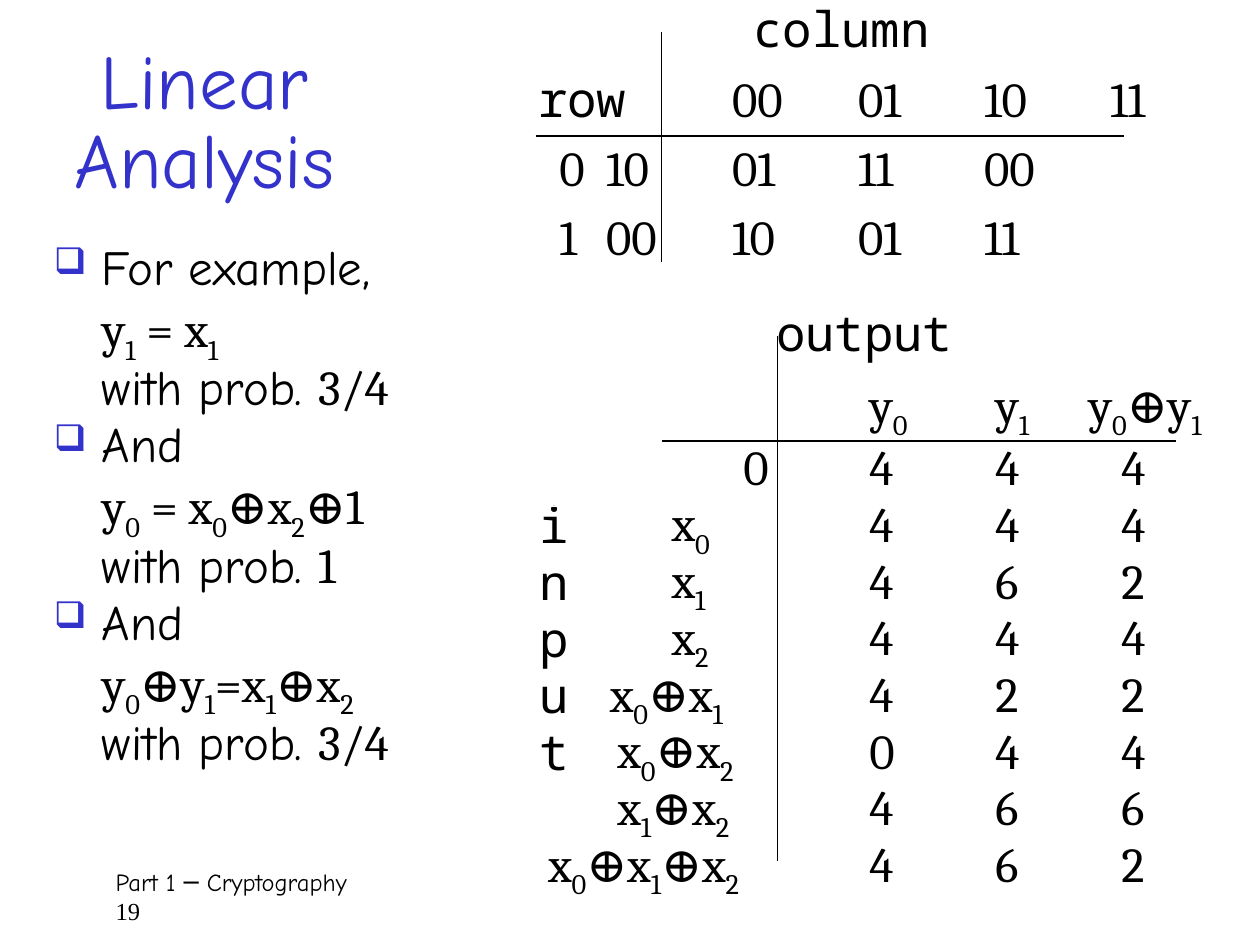
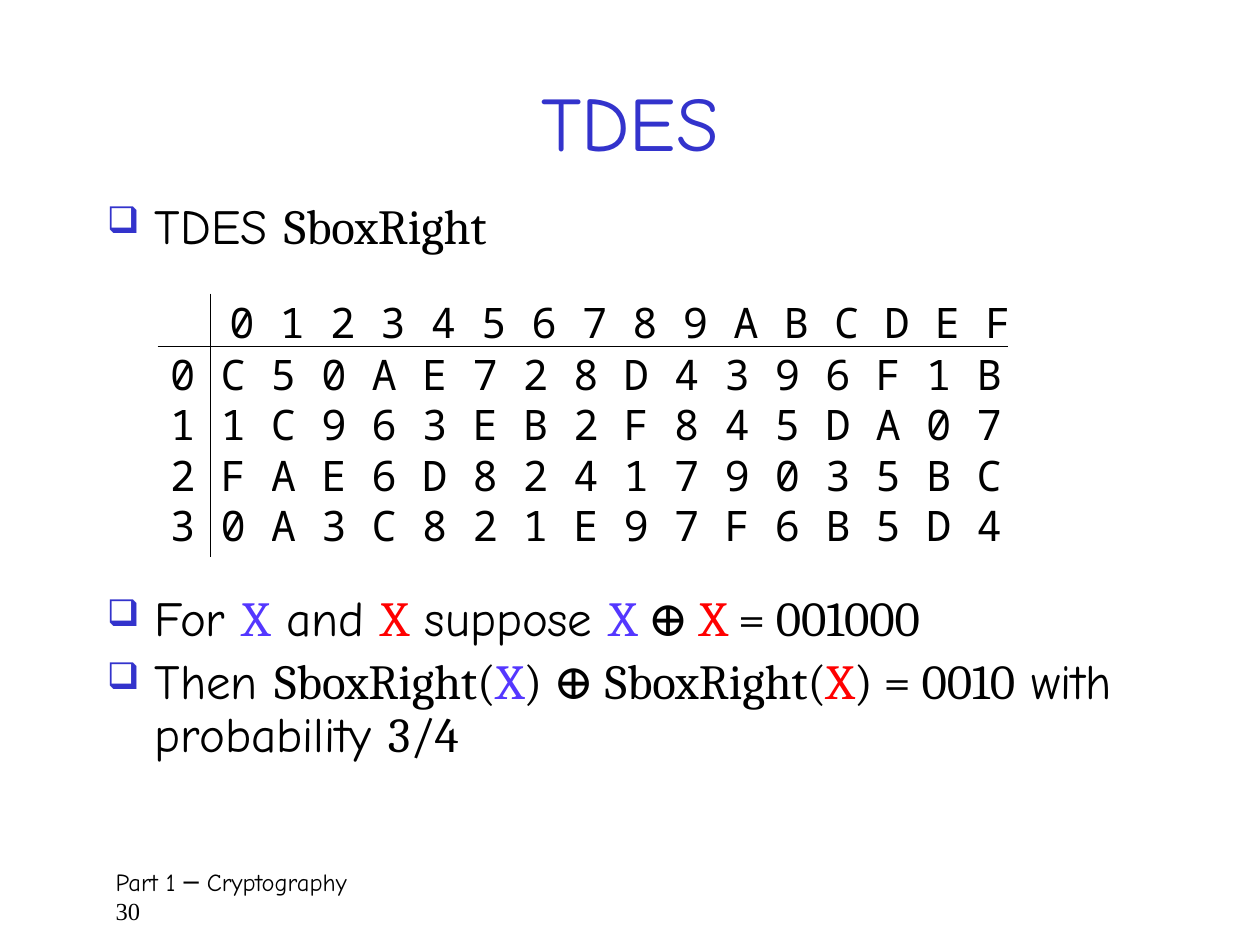
from lxml import etree
from pptx import Presentation
from pptx.dml.color import RGBColor
from pptx.enum.shapes import MSO_CONNECTOR
from pptx.enum.text import MSO_ANCHOR, PP_ALIGN
from pptx.oxml.ns import qn
from pptx.util import Inches, Pt

STRAIGHT = MSO_CONNECTOR.STRAIGHT
TOP, MIDDLE = MSO_ANCHOR.TOP, MSO_ANCHOR.MIDDLE
CENTER, LEFT = PP_ALIGN.CENTER, PP_ALIGN.LEFT

BLACK = RGBColor(0x00, 0x00, 0x00)
TITLE_BLUE = RGBColor(0x33, 0x33, 0xCC)
INPUT_BLUE = RGBColor(0x54, 0x37, 0xFF)
INPUT_RED = RGBColor(0xFF, 0x00, 0x00)

PROSE = "Comic Neue"
MATH = "Cambria"
MONO = "Noto Sans Mono"
NUMBER = "Times New Roman"

TITLE_ONLY = 5
BULLET_INDENT = 0.38


# Text
def add_runs(paragraph, text, font=MATH, size=28, color=BLACK):
    """Add text, setting the character after each underscore as a subscript."""
    first, *marked = text.split("_")
    pieces = [(first, False)]
    for part in marked:
        pieces += [(part[0], True), (part[1:], False)]
    for piece, is_subscript in pieces:
        if not piece:
            continue
        run = paragraph.add_run()
        run.text = piece
        run.font.name = font
        run.font.size = Pt(size)
        run.font.color.rgb = color
        if is_subscript:
            run.font._element.set("baseline", "-25000")


def add_text_box(slide, left, top, width, height):
    box = slide.shapes.add_textbox(Inches(left), Inches(top), Inches(width), Inches(height))
    box.text_frame.word_wrap = True
    return box.text_frame


def set_bullet(paragraph, has_bullet):
    properties = paragraph._p.get_or_add_pPr()
    properties.set("marL", str(Inches(BULLET_INDENT)))
    properties.set("indent", str(-Inches(BULLET_INDENT) if has_bullet else 0))
    if not has_bullet:
        etree.SubElement(properties, qn("a:buNone"))
        return
    color = etree.SubElement(properties, qn("a:buClr"))
    etree.SubElement(color, qn("a:srgbClr"), val=str(TITLE_BLUE))
    etree.SubElement(properties, qn("a:buSzPct"), val="75000")
    etree.SubElement(properties, qn("a:buChar"), char="❑")


def add_points(slide, place, points, line_spacing=1.0):
    """Each point is (has bullet, segments); a segment is (text, font, optional color)."""
    text_frame = add_text_box(slide, *place)
    for index, (has_bullet, segments) in enumerate(points):
        paragraph = text_frame.add_paragraph() if index else text_frame.paragraphs[0]
        paragraph.line_spacing = line_spacing
        paragraph.space_before = Pt(5.6)
        set_bullet(paragraph, has_bullet)
        for text, font, *color in segments:
            add_runs(paragraph, text, font, color=color[0] if color else BLACK)


# Shared slide parts
def add_slide(presentation, title, title_place, page, title_spacing=1.0):
    slide = presentation.slides.add_slide(presentation.slide_layouts[TITLE_ONLY])
    shape = slide.shapes.title
    shape.left, shape.top, shape.width, shape.height = map(Inches, title_place)
    shape.text_frame.vertical_anchor = MIDDLE
    paragraph = shape.text_frame.paragraphs[0]
    paragraph.alignment = CENTER
    paragraph.line_spacing = title_spacing
    add_runs(paragraph, title, PROSE, 44, TITLE_BLUE)

    footer = add_text_box(slide, 0.82, 6.83, 8.5, 0.5)
    add_runs(footer.paragraphs[0], "Part 1 ─ Cryptography", PROSE, 14)
    add_runs(footer.add_paragraph(), page, NUMBER, 14)
    return slide


def add_rule(slide, x1, y1, x2, y2):
    line = slide.shapes.add_connector(STRAIGHT, Inches(x1), Inches(y1), Inches(x2), Inches(y2))
    line.line.color.rgb = BLACK
    line.line.width = Pt(0.75)
    etree.SubElement(line._element.spPr, qn("a:effectLst"))


# Tables
def add_grid(slide, left, top, widths, heights):
    """Add a plain table without fills or margins."""
    frame = slide.shapes.add_table(len(heights), len(widths), Inches(left), Inches(top),
                                   Inches(sum(widths)), Inches(sum(heights)))
    table = frame.table
    table.first_row = table.horz_banding = False
    for column, width in zip(table.columns, widths):
        column.width = Inches(width)
    for row, height in zip(table.rows, heights):
        row.height = Inches(height)
    for cell in table.iter_cells():
        cell.fill.background()
        cell.vertical_anchor = TOP
        cell.margin_left = cell.margin_right = cell.margin_top = cell.margin_bottom = 0
    return table


def fill_cell(cell, text, font=MATH, size=28, indent=0, drop=0, line_spacing=1.0):
    cell.margin_left = Inches(indent)
    cell.margin_top = Inches(drop)
    paragraph = cell.text_frame.paragraphs[0]
    paragraph.alignment = LEFT
    paragraph.line_spacing = line_spacing
    add_runs(paragraph, text, font, size)


def add_sbox_table(slide):
    table = add_grid(slide, 4.27, 0, [0.54] + [1] * 5, [0.55] * 4)
    table.cell(0, 2).merge(table.cell(0, 5))
    table.cell(1, 0).merge(table.cell(1, 1))
    fill_cell(table.cell(0, 2), "column", MONO, indent=0.17, line_spacing=0.9)
    fill_cell(table.cell(1, 0), "row", MONO, line_spacing=0.9)
    for column, text in enumerate(["00", "01", "10", "11"], start=2):
        fill_cell(table.cell(1, column), text, drop=0.06, line_spacing=0.9)
    rows = [["0", "10", "01", "11", "00"], ["1", "00", "10", "01", "11"]]
    for row, values in enumerate(rows, start=2):
        for column, text in enumerate(values):
            fill_cell(table.cell(row, column), text, indent=0 if column else 0.17,
                      drop=0.06, line_spacing=0.9)
    add_rule(slide, 5.25, 0.25, 5.25, 2.08)
    add_rule(slide, 4.25, 1.08, 8.92, 1.08)


def add_output_table(slide):
    # Input letter, expression, indent of the expression, counts
    rows = [
        ("", "0", 1.12, "444"),
        ("i", "x_0", 0.55, "444"),
        ("n", "x_1", 0.55, "462"),
        ("p", "x_2", 0.55, "444"),
        ("u", "x_0⊕x_1", 0.06, "422"),
        ("t", "x_0⊕x_2", 0.12, "044"),
        ("", "x_1⊕x_2", 0.12, "466"),
        ("", "x_0⊕x_1⊕x_2", 0.07, "462"),
    ]
    # Output column header, indent of the header, indent of the counts
    outputs = [("y_0", 0.74, 0.74), ("y_1", 0.49, 0.49), ("y_0⊕y_1", 0.23, 0.49)]
    table = add_grid(slide, 4.28, 2.41, [0.5, 1.38, 1.25, 1, 1.33],
                     [0.58] * 2 + [0.45] * len(rows))
    table.cell(0, 2).merge(table.cell(0, 4))
    fill_cell(table.cell(0, 2), "output", MONO, line_spacing=0.9)
    for column, (text, indent, _) in enumerate(outputs, start=2):
        fill_cell(table.cell(1, column), text, indent=indent, drop=0.02, line_spacing=0.9)

    last_row = len(rows) + 1
    table.cell(last_row, 0).merge(table.cell(last_row, 1))
    for row, (letter, expression, indent, counts) in enumerate(rows, start=2):
        if letter:
            fill_cell(table.cell(row, 0), letter, MONO, line_spacing=0.7)
        expression_column = 0 if row == last_row else 1
        fill_cell(table.cell(row, expression_column), expression, indent=indent,
                  line_spacing=0.7 if "_" in expression else 0.8)
        for column, (count, output) in enumerate(zip(counts, outputs), start=2):
            fill_cell(table.cell(row, column), count, indent=output[2], line_spacing=0.8)
    add_rule(slide, 6.17, 2.67, 6.17, 6.83)
    add_rule(slide, 5.25, 3.5, 9.33, 3.5)


def add_sbox_right_table(slide):
    rows = ["C50AE728D4396F1B", "1C963EB2F845DA07", "FAE6D824179035BC", "0A3C821E97F6B5D4"]
    table = add_grid(slide, 1.35, 2.33, [0.4] * 17, [0.41] + [0.4] * len(rows))
    for column, digit in enumerate("0123456789ABCDEF", start=1):
        fill_cell(table.cell(0, column), digit, MONO, 24, indent=0.07)
    for row, digits in enumerate(rows, start=1):
        for column, digit in enumerate(str(row - 1) + digits):
            fill_cell(table.cell(row, column), digit, MONO, 24)
    add_rule(slide, 1.67, 2.33, 1.67, 4.42)
    add_rule(slide, 1.25, 2.75, 8, 2.75)


# Slides
def build_linear_analysis(presentation):
    slide = add_slide(presentation, "Linear Analysis", (0.25, 0.33, 2.75, 1.33), "19", 0.85)
    add_sbox_table(slide)
    add_output_table(slide)
    examples = [
        ("For example,", "y_1 = x_1", "3/4"),
        ("And", "y_0 = x_0⊕x_2⊕1", "1"),
        ("And", "y_0⊕y_1=x_1⊕x_2", "3/4"),
    ]
    points = []
    for lead, equation, probability in examples:
        points += [
            (True, [(lead, PROSE)]),
            (False, [(equation, MATH)]),
            (False, [("with prob. ", PROSE), (probability, MATH)]),
        ]
    add_points(slide, (0.33, 1.92, 3.5, 4.67), points, 0.8)


def build_tdes(presentation):
    slide = add_slide(presentation, "TDES", (0.75, 0.33, 8.5, 1.25), "30")
    add_points(slide, (0.75, 1.5, 8.5, 0.83),
               [(True, [("TDES ", PROSE), ("SboxRight", MATH)])])
    add_sbox_right_table(slide)
    blue_x, red_x = ("X", MATH, INPUT_BLUE), ("X", MATH, INPUT_RED)
    points = [
        (True, [("For ", PROSE), blue_x, (" and ", PROSE), red_x, (" suppose ", PROSE),
                blue_x, (" ⊕ ", MATH), red_x, (" = 001000", MATH)]),
        (True, [("Then ", PROSE), ("SboxRight(", MATH), blue_x, (") ⊕ SboxRight(", MATH),
                red_x, (") = 0010", MATH), (" with probability ", PROSE), ("3/4", MATH)]),
    ]
    add_points(slide, (0.75, 4.67, 8.5, 1.83), points, 0.9)


def main():
    presentation = Presentation()
    presentation.slide_width = Inches(10)
    presentation.slide_height = Inches(7.5)
    build_linear_analysis(presentation)
    build_tdes(presentation)
    presentation.save("out.pptx")


if __name__ == "__main__":
    main()
